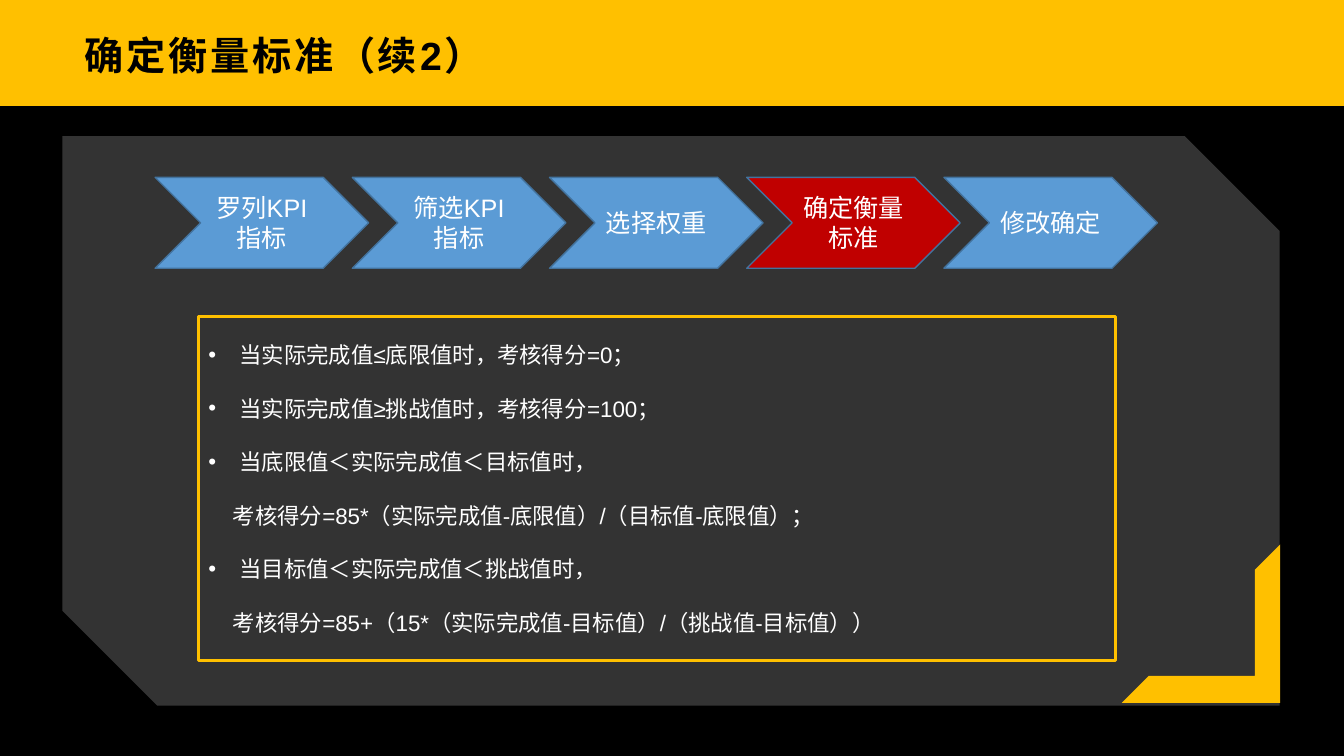
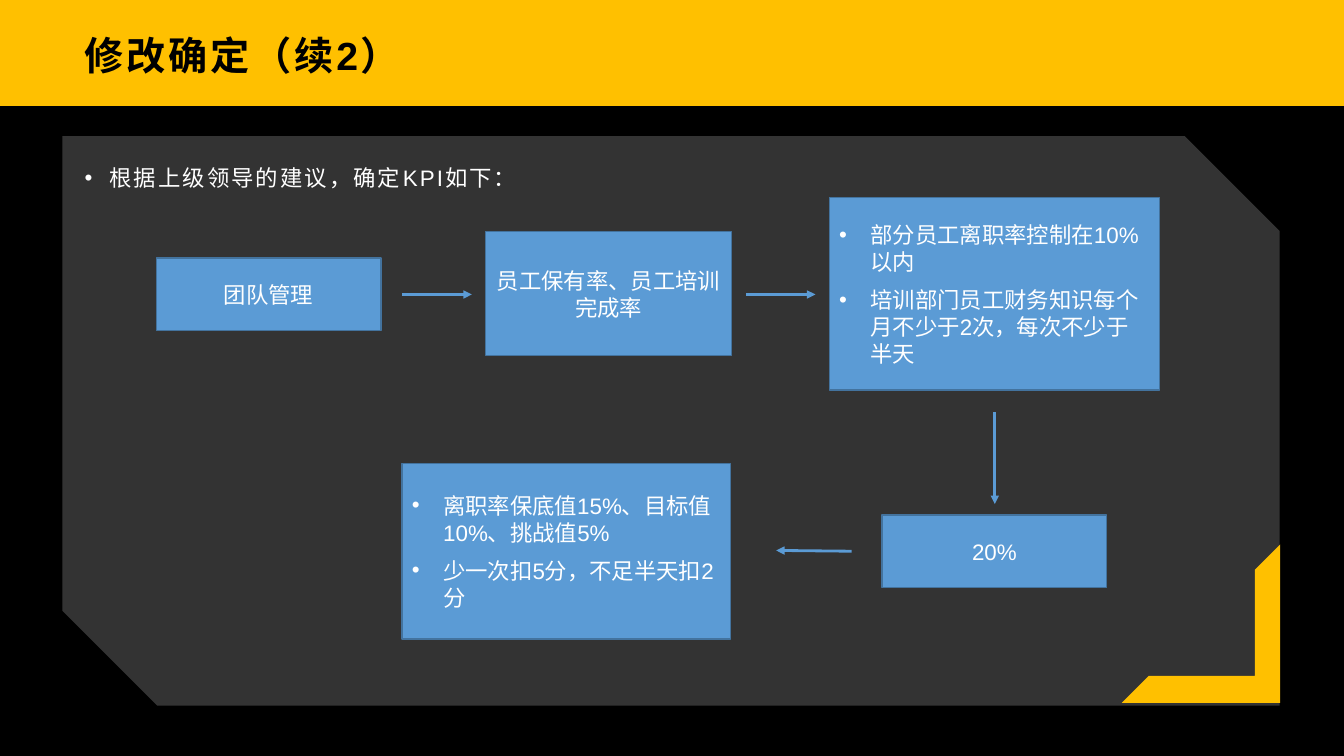
"""Build two slides on setting measures and confirming KPI targets."""
from dataclasses import dataclass
from typing import NamedTuple, Optional, Sequence

from lxml.etree import SubElement as Sub
from pptx import Presentation
from pptx.dml.color import RGBColor as Rgb
from pptx.enum.lang import MSO_LANGUAGE_ID as Lang
from pptx.enum.shapes import MSO_CONNECTOR as Link
from pptx.enum.shapes import MSO_SHAPE as Form
from pptx.enum.text import MSO_ANCHOR as Anchor
from pptx.enum.text import MSO_AUTO_SIZE as Fit
from pptx.enum.text import PP_ALIGN as Align
from pptx.oxml.ns import qn
from pptx.presentation import Presentation as Deck
from pptx.shapes.autoshape import Shape
from pptx.slide import Slide
from pptx.text.text import TextFrame as Frame
from pptx.util import Cm, Pt


@dataclass(frozen=True)
class Theme:
    gold: Rgb = Rgb(0xFF, 0xC0, 0x00)
    black: Rgb = Rgb(0x00, 0x00, 0x00)
    white: Rgb = Rgb(0xFF, 0xFF, 0xFF)
    gray: Rgb = Rgb(0x33, 0x33, 0x33)
    blue: Rgb = Rgb(0x5B, 0x9B, 0xD5)
    edge: Rgb = Rgb(0x43, 0x73, 0x9E)
    red: Rgb = Rgb(0xC0, 0x00, 0x00)
    font: str = "Arial"
    head: float = 28
    step: float = 18
    text: float = 16


class Area(NamedTuple):
    left: float
    top: float
    width: float
    height: float


class Line(NamedTuple):
    text: str
    mark: bool = False
    left: float = 0


class Box(NamedTuple):
    area: Area
    lines: Sequence[Line]
    align: Align = Align.CENTER


class Arrow(NamedTuple):
    x1: float
    y1: float
    x2: float
    y2: float


LOOK = Theme()
WIDE, HIGH = 33.87, 19.05
BAND = Area(0, 0, WIDE, 2.67)
PANEL = Area(1.57, 3.43, 30.68, 14.35)
CORNER = Area(28.27, 13.72, 3.99, 3.99)
TITLE = Area(1.85, 0.48, 30.15, 1.8)
LEAD = Area(1.85, 3.94, 30.15, 13.67)
RULES = Area(5, 7.98, 23.11, 8.66)
STEP = Area(3.91, 4.47, 5.38, 2.29)
PITCH = 4.97
HANG = 0.79

STEPS = ("罗列KPI指标", "筛选KPI指标", "选择权重", "确定衡量标准", "修改确定")
NOW = 3
CASES = (
    Line("当实际完成值≤底限值时，考核得分=0；", True),
    Line("当实际完成值≥挑战值时，考核得分=100；", True),
    Line("当底限值＜实际完成值＜目标值时，", True),
    Line("考核得分=85*（实际完成值-底限值）/（目标值-底限值）；", left=0.62),
    Line("当目标值＜实际完成值＜挑战值时，", True),
    Line("考核得分=85+（15*（实际完成值-目标值）/（挑战值-目标值））", left=0.62),
)
BOXES = (
    Box(Area(3.94, 6.5, 5.66, 1.83), [Line("团队管理")]),
    Box(Area(12.24, 5.84, 6.2, 3.12), [Line("员工保有率、员工培训完成率")]),
    Box(Area(20.9, 4.98, 8.33, 4.85),
        [Line("部分员工离职率控制在10%以内", True),
         Line("培训部门员工财务知识每个月不少于2次，每次不少于半天", True)], Align.LEFT),
    Box(Area(22.23, 12.98, 5.66, 1.83), [Line("20%")]),
    Box(Area(10.13, 11.68, 8.28, 4.42),
        [Line("离职率保底值15%、目标值10%、挑战值5%", True),
         Line("少一次扣5分，不足半天扣2分", True)], Align.LEFT),
)
ARROWS = (
    Arrow(10.13, 7.42, 11.89, 7.42),
    Arrow(18.8, 7.42, 20.55, 7.42),
    Arrow(25.07, 10.39, 25.07, 12.7),
    Arrow(21.46, 13.89, 19.56, 13.87),
)


def write(frame: Frame, lines: Sequence[Line], *, size: float = LOOK.text,
          color: Rgb = LOOK.white, bold: bool = False, align: Align = Align.LEFT,
          anchor: Anchor = Anchor.MIDDLE, gap: float = 0, lead: float = 1,
          hang: float = HANG, track: float = 0,
          inset: Sequence[float] = (0.25, 0.13, 0.25, 0.13)) -> None:
    frame.word_wrap, frame.auto_size = True, Fit.NONE
    frame.vertical_anchor = anchor
    (frame.margin_left, frame.margin_top,
     frame.margin_right, frame.margin_bottom) = map(Cm, inset)
    for rank, line in enumerate(lines):
        para = frame.add_paragraph() if rank else frame.paragraphs[0]
        para.alignment, para.line_spacing = align, lead
        para.space_before, para.space_after = Pt(gap if rank else 0), Pt(0)
        props = para._p.get_or_add_pPr()
        props.set("marL", str(Cm(hang if line.mark else line.left)))
        props.set("indent", str(-Cm(hang) if line.mark else 0))
        if line.mark:
            Sub(props, qn("a:buFont"), typeface=LOOK.font)
            Sub(props, qn("a:buChar"), char="•")
        else:
            Sub(props, qn("a:buNone"))
        run = para.add_run()
        run.text = line.text
        font = run.font
        font.name, font.size, font.bold = LOOK.font, Pt(size), bold
        font.color.rgb = color
        font.language_id = Lang.SIMPLIFIED_CHINESE
        style = run._r.get_or_add_rPr()
        Sub(style, qn("a:ea"), typeface=LOOK.font)
        if track:
            style.set("spc", str(int(track * 100)))


def place(shape: Shape, area: Area) -> None:
    shape.left, shape.top, shape.width, shape.height = map(Cm, area)


def draw(slide: Slide, form: Form, area: Area, fill: Rgb,
         edge: Optional[Rgb] = None) -> Shape:
    shape = slide.shapes.add_shape(form, *map(Cm, area))
    shape.shadow.inherit = False
    shape.fill.solid()
    shape.fill.fore_color.rgb = fill
    if edge is None:
        shape.line.fill.background()
    else:
        shape.line.color.rgb = edge
        shape.line.width = Pt(1)
    return shape


def point(slide: Slide, arrow: Arrow) -> None:
    link = slide.shapes.add_connector(Link.STRAIGHT, *map(Cm, arrow))
    link.line.color.rgb = LOOK.blue
    link.line.width = Pt(2)
    Sub(link.line._get_or_add_ln(), qn("a:tailEnd"), type="triangle")
    Sub(link._element.spPr, qn("a:effectLst"))


def start(deck: Deck, text: str) -> tuple[Slide, Shape]:
    slide = deck.slides.add_slide(deck.slide_layouts[1])
    title, body = slide.shapes.title, slide.placeholders[1]
    draw(slide, Form.RECTANGLE, BAND, LOOK.gold)
    draw(slide, Form.SNIP_2_DIAG_RECTANGLE, PANEL, LOOK.gray)
    frame = draw(slide, Form.HALF_FRAME, CORNER, LOOK.gold)
    frame.rotation = 180
    frame.adjustments[0], frame.adjustments[1] = 0.17, 0.16
    for holder in (title, body):
        slide.shapes.element.append(holder.element)
    place(title, TITLE)
    write(title.text_frame, [Line(text)], size=LOOK.head, color=LOOK.black,
          bold=True, track=2, inset=(0.28, 0.1, 0.2, 0.1))
    return slide, body


def score(deck: Deck) -> None:
    slide, body = start(deck, "确定衡量标准（续2）")
    for rank, name in enumerate(STEPS):
        area = STEP._replace(left=STEP.left + rank * PITCH)
        fill = LOOK.red if rank == NOW else LOOK.blue
        shape = draw(slide, Form.CHEVRON, area, fill, LOOK.edge)
        write(shape.text_frame, [Line(name)], size=LOOK.step, align=Align.CENTER)
    place(body, RULES)
    body.line.color.rgb = LOOK.gold
    body.line.width = Pt(2.25)
    write(body.text_frame, CASES, gap=19)


def chain(deck: Deck) -> None:
    slide, body = start(deck, "修改确定（续2）")
    place(body, LEAD)
    write(body.text_frame, [Line("根据上级领导的建议，确定KPI如下：", True)],
          anchor=Anchor.TOP, lead=1.3, hang=0.63, track=1.5, inset=(0.28, 0, 0.23, 0))
    for box in BOXES:
        shape = draw(slide, Form.RECTANGLE, box.area, LOOK.blue, LOOK.edge)
        write(shape.text_frame, box.lines, align=box.align, gap=8)
    for arrow in ARROWS:
        point(slide, arrow)


def main() -> None:
    deck = Presentation()
    deck.slide_width, deck.slide_height = Cm(WIDE), Cm(HIGH)
    back = deck.slide_master.background.fill
    back.solid()
    back.fore_color.rgb = LOOK.black
    score(deck)
    chain(deck)
    deck.save("out.pptx")


if __name__ == "__main__":
    main()
